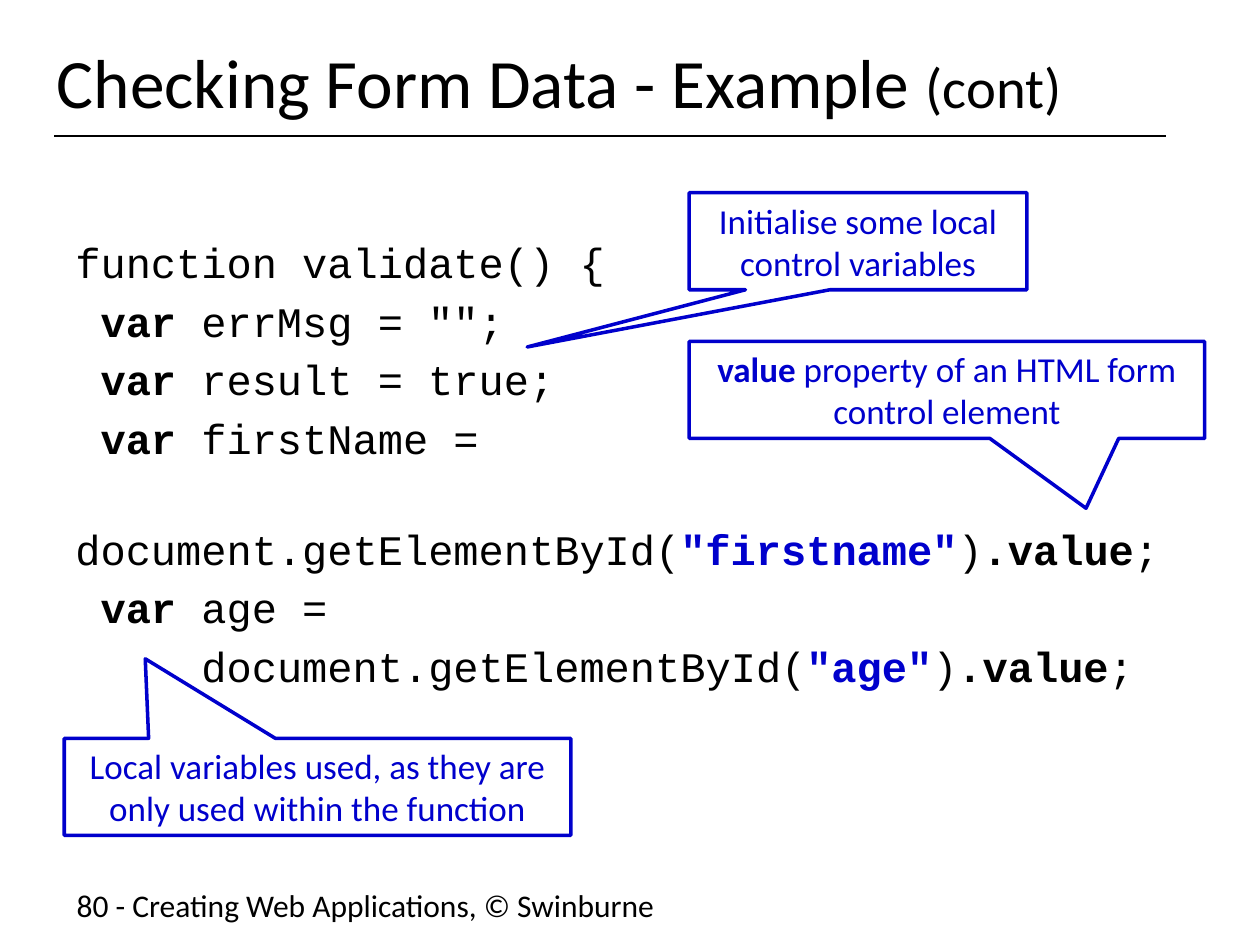
from dataclasses import dataclass

from lxml import etree
from pptx import Presentation
from pptx.dml.color import RGBColor
from pptx.enum.shapes import MSO_CONNECTOR, MSO_SHAPE
from pptx.enum.text import MSO_ANCHOR, PP_ALIGN
from pptx.oxml.ns import qn
from pptx.util import Inches, Pt

STRAIGHT = MSO_CONNECTOR.STRAIGHT
CALLOUT = MSO_SHAPE.RECTANGULAR_CALLOUT
MIDDLE = MSO_ANCHOR.MIDDLE
LEFT, CENTER = PP_ALIGN.LEFT, PP_ALIGN.CENTER
TITLE_ONLY = 5


@dataclass(frozen=True)
class Theme:
    ink: RGBColor = RGBColor(0, 0, 0)
    accent: RGBColor = RGBColor(0, 0, 0xCC)
    paper: RGBColor = RGBColor(0xFF, 0xFF, 0xFF)
    text_font: str = "Calibri"
    code_font: str = "Courier New"
    title: float = 39.6
    title_small: float = 32.4
    code: float = 24
    note: float = 20
    footer: float = 18
    code_line: float = 30
    code_gap: float = 3.5


THEME = Theme()

# Each run is (text, style); "b" is bold and "a" is the accent colour
VALUE_END = [(")", ""), (".value", "b"), (";", "")]
CODE = [
    [("function validate() {", "")],
    [(" ", ""), ("var ", "b"), ('errMsg = "";', "")],
    [(" ", ""), ("var", "b"), (" result = true;", "")],
    [(" ", ""), ("var ", "b"), ("firstName =", "")],
    [("document.getElementById(", ""), ('"firstname"', "ba"), *VALUE_END],
    [(" ", ""), ("var ", "b"), ("age =", "")],
    [("     document.getElementById(", ""), ('"age"', "ba"), *VALUE_END],
]
WIDE_GAP_LINE = 4  # this code line has an empty line above it

# Box, pointer tip as shares of the callout's size from its centre, runs
CALLOUTS = [
    ((5.47, 2.71, 4.09, 0.77), (0.27, 1.22),
     [("value", "ba"), (" property of an HTML form control element", "a")]),
    ((0.51, 5.86, 4.02, 0.77), (-0.34, -1.32),
     [("Local variables used, as they are only used within the function", "a")]),
    ((5.47, 1.53, 2.68, 0.77), (-0.98, 1.09),
     [("Initialise some local control variables", "a")]),
]


def inches(box):
    return [Inches(length) for length in box]


def add_run(paragraph, text, size, style="", font=THEME.text_font):
    run = paragraph.add_run()
    run.text = text
    run.font.name = font
    run.font.size = Pt(size)
    run.font.bold = "b" in style
    run.font.color.rgb = THEME.accent if "a" in style else THEME.ink


def add_title(slide, box):
    heading = slide.shapes.title
    heading.left, heading.top, heading.width, heading.height = inches(box)
    heading.text_frame.vertical_anchor = MIDDLE
    paragraph = heading.text_frame.paragraphs[0]
    paragraph.alignment = LEFT
    add_run(paragraph, "Checking Form Data - Example ", THEME.title)
    add_run(paragraph, "(cont)", THEME.title_small)


def add_rule(slide, left, right, y):
    rule = slide.shapes.add_connector(STRAIGHT, *inches((left, y, right, y)))
    rule.line.color.rgb = THEME.ink
    rule.line.width = Pt(0.75)
    etree.SubElement(rule._element.spPr, qn("a:effectLst"))


def add_code(slide, box):
    frame = slide.shapes.add_textbox(*inches(box)).text_frame
    frame.word_wrap = True
    frame.margin_top = frame.margin_bottom = 0
    for number, line in enumerate(CODE):
        paragraph = frame.add_paragraph() if number else frame.paragraphs[0]
        paragraph.line_spacing = Pt(THEME.code_line)
        if number:
            extra = THEME.code_line if number == WIDE_GAP_LINE else 0
            paragraph.space_before = Pt(THEME.code_gap + extra)
        for text, style in line:
            add_run(paragraph, text, THEME.code, style, THEME.code_font)


def add_callout(slide, box, tip, runs):
    callout = slide.shapes.add_shape(CALLOUT, *inches(box))
    callout.shadow.inherit = False
    callout.adjustments[0], callout.adjustments[1] = tip
    callout.fill.solid()
    callout.fill.fore_color.rgb = THEME.paper
    callout.line.color.rgb = THEME.accent
    callout.line.width = Pt(2)
    frame = callout.text_frame
    frame.word_wrap = True
    frame.vertical_anchor = MIDDLE
    paragraph = frame.paragraphs[0]
    paragraph.alignment = CENTER
    for text, style in runs:
        add_run(paragraph, text, THEME.note, style)


def add_footer(slide, box):
    frame = slide.shapes.add_textbox(*inches(box)).text_frame
    frame.word_wrap = True
    add_run(frame.paragraphs[0], "80 - Creating Web Applications, © Swinburne",
            THEME.footer)


def main():
    deck = Presentation()
    deck.slide_width, deck.slide_height = Inches(10), Inches(7.5)
    slide = deck.slides.add_slide(deck.slide_layouts[TITLE_ONLY])
    add_rule(slide, 0.43, 9.25, 1.08)
    add_footer(slide, (0.51, 6.98, 5.51, 0.39))
    add_title(slide, (0.35, 0.3, 9.15, 0.69))
    add_code(slide, (0.5, 1.86, 9, 4.68))
    for box, tip, runs in CALLOUTS:
        add_callout(slide, box, tip, runs)
    deck.save("out.pptx")


if __name__ == "__main__":
    main()
